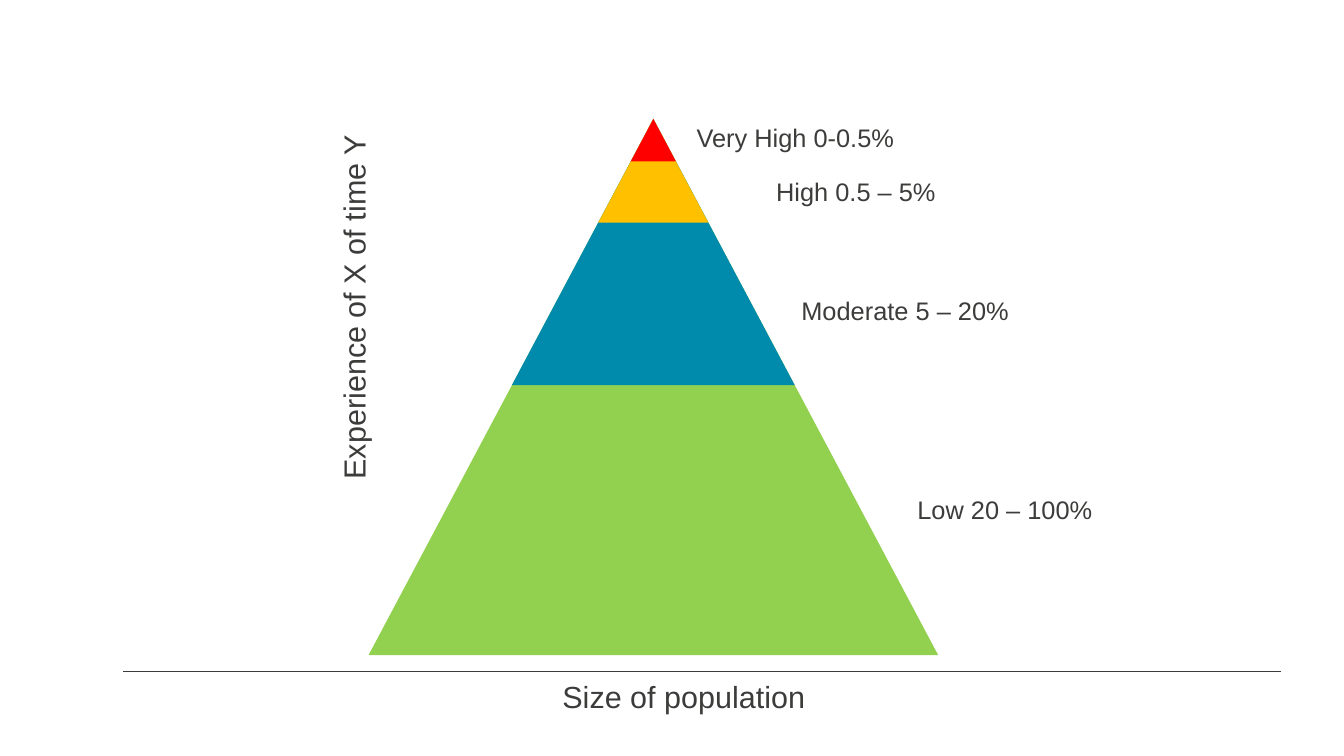
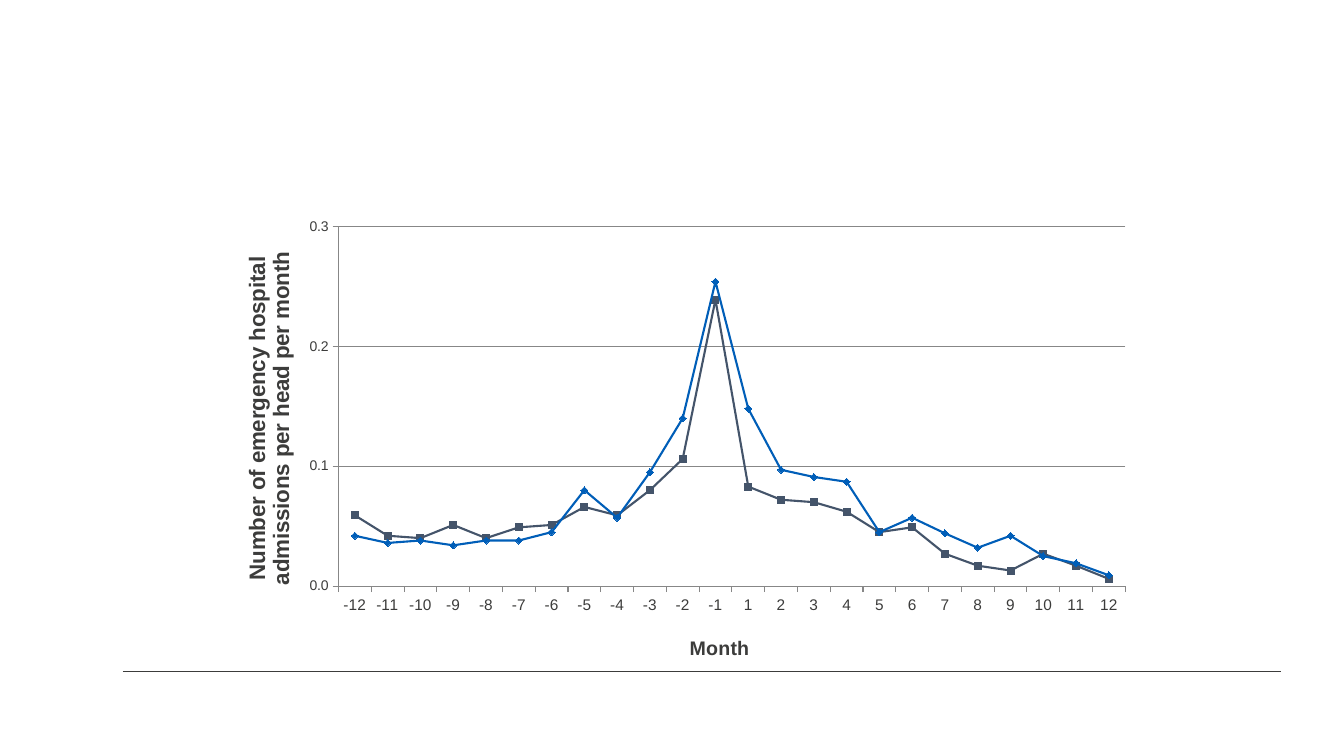
from dataclasses import dataclass

from lxml.etree import SubElement
from pptx import Presentation
from pptx.chart.data import CategoryChartData
from pptx.dml.color import RGBColor
from pptx.enum.chart import XL_CHART_TYPE, XL_MARKER_STYLE, XL_TICK_MARK
from pptx.enum.shapes import MSO_CONNECTOR, MSO_SHAPE
from pptx.oxml.ns import qn
from pptx.util import Emu, Pt


@dataclass(frozen=True)
class Theme:
    font: str = "Arial"
    ink: str = "3C3C3B"
    grid: str = "878787"
    low: str = "92D050"
    moderate: str = "008AAB"
    high: str = "FFC000"
    very_high: str = "FF0000"
    slate: str = "44546A"
    blue: str = "005EB8"
    label_size: float = 18.1
    caption_size: float = 21.8
    value_title_size: float = 16
    month_title_size: float = 14
    month_size: float = 11
    value_size: float = 10


THEME = Theme()
EMU_PER_PX = 9144  # 100 px to the inch

# Pyramid: depth below the shared apex, colour, from back to front
APEX_X, APEX_Y = 648, 118
BASE_WIDTH, PYRAMID_HEIGHT = 565, 532
TIERS = [
    (PYRAMID_HEIGHT, THEME.low),
    (264, THEME.moderate),
    (103, THEME.high),
    (42, THEME.very_high),
]
TIER_LABELS = [
    ("Very High 0-0.5%", 681, 116, 261),
    ("High 0.5 – 5%", 760, 170, 190),
    ("Moderate 5 – 20%", 785, 288, 240),
    ("Low 20 – 100%", 900, 485, 205),
]

# Admissions per head in the months before and after
MONTHS = [str(month) for month in range(-12, 13) if month]
ADMISSIONS = [
    ("Series 1", THEME.slate, XL_MARKER_STYLE.SQUARE,
     [0.059, 0.042, 0.04, 0.051, 0.04, 0.049, 0.051, 0.066, 0.059, 0.08, 0.106, 0.239,
      0.083, 0.072, 0.07, 0.062, 0.045, 0.049, 0.027, 0.017, 0.013, 0.027, 0.017, 0.006]),
    ("Series 2", THEME.blue, XL_MARKER_STYLE.DIAMOND,
     [0.042, 0.036, 0.038, 0.034, 0.038, 0.038, 0.045, 0.08, 0.057, 0.095, 0.14, 0.254,
      0.148, 0.097, 0.091, 0.087, 0.045, 0.057, 0.044, 0.032, 0.042, 0.025, 0.019, 0.009]),
]


def px(length):
    return Emu(round(length * EMU_PER_PX))


def rgb(colour):
    return RGBColor.from_string(colour)


def style_font(font, size, bold=False):
    font.name = THEME.font
    font.size = Pt(size)
    font.bold = bold
    font.color.rgb = rgb(THEME.ink)


def style_line(line, colour, width):
    line.color.rgb = rgb(colour)
    line.width = Pt(width)


def add_text(slide, text, left, top, width, height=41, size=THEME.label_size, rotation=0):
    box = slide.shapes.add_textbox(px(left), px(top), px(width), px(height))
    box.rotation = rotation
    box.text_frame.word_wrap = True
    run = box.text_frame.paragraphs[0].add_run()
    run.text = text
    style_font(run.font, size)


def add_tier(slide, depth, colour):
    width = BASE_WIDTH * depth / PYRAMID_HEIGHT
    tier = slide.shapes.add_shape(
        MSO_SHAPE.ISOSCELES_TRIANGLE,
        px(APEX_X - width / 2), px(APEX_Y), px(width), px(depth))
    tier.shadow.inherit = False
    tier.fill.solid()
    tier.fill.fore_color.rgb = rgb(colour)
    tier.line.fill.background()


def add_footer_rule(slide):
    rule = slide.shapes.add_connector(
        MSO_CONNECTOR.STRAIGHT, px(122), px(666), px(1271), px(666))
    style_line(rule.line, THEME.ink, 0.5)
    SubElement(rule._element.spPr, qn("a:effectLst"))


def new_slide(deck):
    slide = deck.slides.add_slide(deck.slide_layouts[6])
    add_footer_rule(slide)
    return slide


def set_layout(element, **settings):
    """Place a chart part by fractions of the chart's size."""
    layout = element.find(qn("c:layout"))
    if layout is None:
        layout = SubElement(element, qn("c:layout"))
        element.insert(0, layout)
    manual = SubElement(layout, qn("c:manualLayout"))
    for name, value in settings.items():
        SubElement(manual, qn(f"c:{name}")).set("val", str(value))


def style_axis(axis, title, title_size, label_size, x, y):
    axis.major_tick_mark = XL_TICK_MARK.OUTSIDE
    axis.minor_tick_mark = XL_TICK_MARK.NONE
    style_font(axis.tick_labels.font, label_size)
    style_line(axis.format.line, THEME.grid, 0.75)
    frame = axis.axis_title.text_frame
    run = frame.paragraphs[0].add_run()
    run.text = title
    style_font(run.font, title_size, bold=True)
    set_layout(axis.axis_title._element, xMode="edge", yMode="edge", x=x, y=y)
    return frame


def add_admissions_chart(slide):
    data = CategoryChartData(number_format="0.000")
    data.categories = MONTHS
    for name, _, _, values in ADMISSIONS:
        data.add_series(name, values)
    chart = slide.shapes.add_chart(
        XL_CHART_TYPE.LINE_MARKERS, px(202), px(161), px(929), px(518), data).chart
    chart.has_legend = False
    chart.has_title = False
    style_font(chart.font, THEME.value_size)
    set_layout(chart._chartSpace.chart.plotArea, layoutTarget="inner",
               xMode="edge", yMode="edge", x=0.144, y=0.123, w=0.84, h=0.689)

    # Axes
    style_axis(chart.category_axis, "Month", THEME.month_title_size,
               THEME.month_size, x=0.515, y=0.9)
    values_axis = chart.value_axis
    values_title = style_axis(
        values_axis, "Number of emergency hospital admissions per head per month",
        THEME.value_title_size, THEME.value_size, x=0.037, y=0.164)
    values_title._txBody.bodyPr.set("rot", "-5400000")
    values_title._txBody.bodyPr.set("vert", "horz")
    values_axis.minimum_scale, values_axis.maximum_scale = 0, 0.3
    values_axis.major_unit = 0.1
    values_axis.tick_labels.number_format = "#,##0.0"
    values_axis.tick_labels.number_format_is_linked = False
    values_axis.has_major_gridlines = True
    style_line(values_axis.major_gridlines.format.line, THEME.grid, 0.75)

    # Series
    plot = chart.plots[0]
    plot.vary_by_categories = False
    for series, (_, colour, marker, _) in zip(plot.series, ADMISSIONS):
        series.smooth = False
        style_line(series.format.line, colour, 1.5)
        series.marker.style = marker
        series.marker.size = 5
        series.marker.format.fill.solid()
        series.marker.format.fill.fore_color.rgb = rgb(colour)
        style_line(series.marker.format.line, colour, 0.75)


def build_pyramid_slide(deck):
    slide = new_slide(deck)
    for depth, colour in TIERS:
        add_tier(slide, depth, colour)
    for text, left, top, width in TIER_LABELS:
        add_text(slide, text, left, top, width)
    add_text(slide, "Experience of X of time Y", 166, 277, 370, 47,
             size=THEME.caption_size, rotation=270)
    add_text(slide, "Size of population", 548, 668, 270, 47, size=THEME.caption_size)


def build_admissions_slide(deck):
    add_admissions_chart(new_slide(deck))


def main():
    deck = Presentation()
    deck.slide_width, deck.slide_height = px(1333), px(750)
    build_pyramid_slide(deck)
    build_admissions_slide(deck)
    deck.save("out.pptx")


if __name__ == "__main__":
    main()
